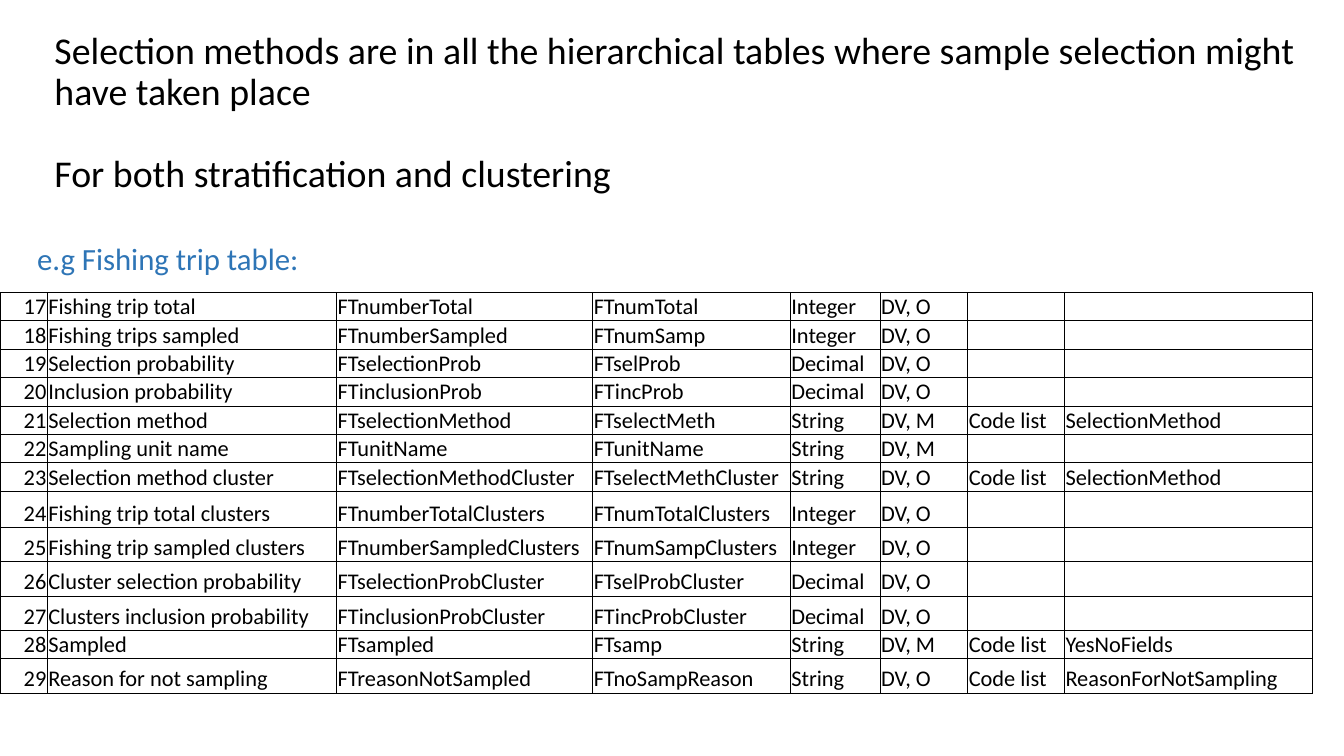
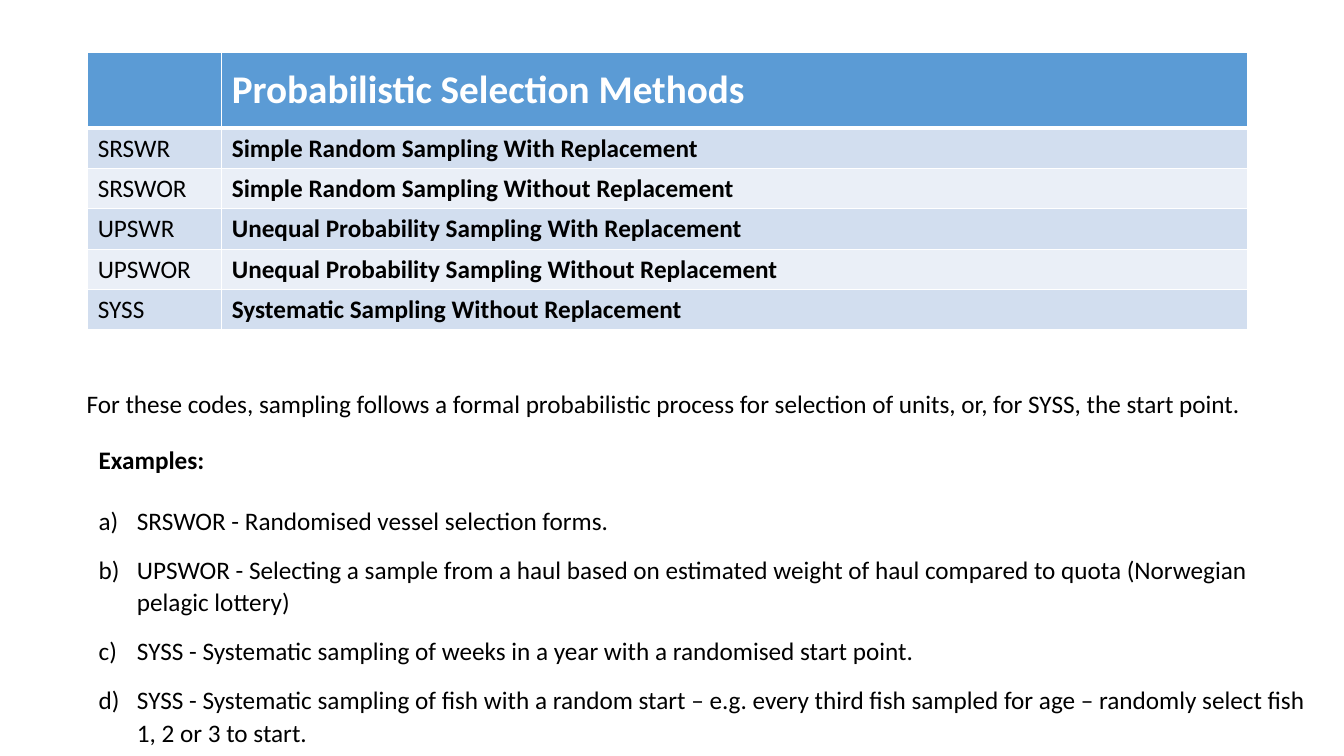
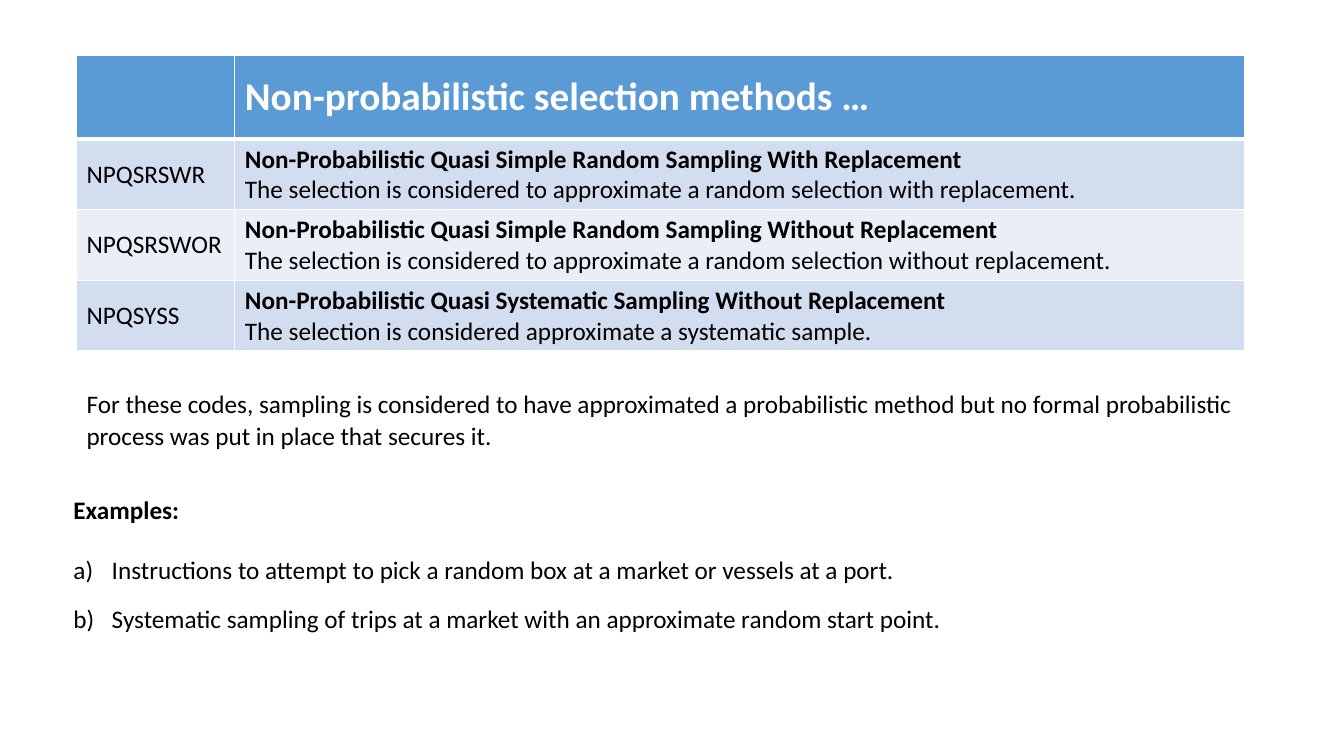
import pptx
import pptx.dml.color
import pptx.enum.text
import pptx.oxml.ns
import pptx.util
from lxml import etree

Inches = pptx.util.Inches
Pt = pptx.util.Pt
Align = pptx.enum.text.PP_ALIGN
Anchor = pptx.enum.text.MSO_ANCHOR
AutoSize = pptx.enum.text.MSO_AUTO_SIZE
qn = pptx.oxml.ns.qn

FONT = "Calibri"
BLACK, WHITE, BLUE = "000000", "FFFFFF", "2E75B6"
HEADER, BANDS = "5B9BD5", ("D2DEEF", "EAEFF7")
BODY_SIZE = 18
TITLE_ONLY, BLANK = 5, 6

TRIP_TITLE = [
    "Selection methods are in all the hierarchical tables where sample selection might have taken place",
    "For both stratification and clustering",
]
TRIP_WIDTHS = [0.47, 2.87, 2.54, 1.96, 0.89, 0.87, 0.96, 2.46]
ROW, TALL_ROW, TALLEST_ROW = 0.28, 0.34, 0.36
FIRST_NUMBER = 17
# height, label, field name, short name, type, rule, code list
TRIP_FIELDS = [
    (ROW, "Fishing trip total", "FTnumberTotal", "FTnumTotal", "Integer", "DV, O", ""),
    (ROW, "Fishing trips sampled", "FTnumberSampled", "FTnumSamp", "Integer", "DV, O", ""),
    (ROW, "Selection probability", "FTselectionProb", "FTselProb", "Decimal", "DV, O", ""),
    (ROW, "Inclusion probability", "FTinclusionProb", "FTincProb", "Decimal", "DV, O", ""),
    (ROW, "Selection method", "FTselectionMethod", "FTselectMeth", "String", "DV, M", "SelectionMethod"),
    (ROW, "Sampling unit name", "FTunitName", "FTunitName", "String", "DV, M", ""),
    (ROW, "Selection method cluster", "FTselectionMethodCluster", "FTselectMethCluster",
     "String", "DV, O", "SelectionMethod"),
    (TALLEST_ROW, "Fishing trip total clusters", "FTnumberTotalClusters", "FTnumTotalClusters",
     "Integer", "DV, O", ""),
    (TALL_ROW, "Fishing trip sampled clusters", "FTnumberSampledClusters", "FTnumSampClusters",
     "Integer", "DV, O", ""),
    (TALL_ROW, "Cluster selection probability", "FTselectionProbCluster", "FTselProbCluster",
     "Decimal", "DV, O", ""),
    (TALL_ROW, "Clusters inclusion probability", "FTinclusionProbCluster", "FTincProbCluster",
     "Decimal", "DV, O", ""),
    (ROW, "Sampled", "FTsampled", "FTsamp", "String", "DV, M", "YesNoFields"),
    (TALL_ROW, "Reason for not sampling", "FTreasonNotSampled", "FTnoSampReason",
     "String", "DV, O", "ReasonForNotSampling"),
]

METHOD_PAGES = [
    {
        "heading": "Probabilistic Selection Methods",
        "table": (0.87, 0.52), "widths": [1.33, 10.17], "heights": (0.75, 0.4),
        "anchor": Anchor.TOP,
        "methods": [
            ("SRSWR", ["Simple Random Sampling With Replacement"]),
            ("SRSWOR", ["Simple Random Sampling Without Replacement"]),
            ("UPSWR", ["Unequal Probability Sampling With Replacement"]),
            ("UPSWOR", ["Unequal Probability Sampling Without Replacement"]),
            ("SYSS", ["Systematic Sampling Without Replacement"]),
        ],
        "note_box": (0.76, 3.78, 11.79, 0.41),
        "note": "For these codes, sampling follows a formal probabilistic process for selection "
                "of units, or, for SYSS, the start point.",
        "examples_box": (0.88, 4.34, 12.31, 3.14),
        "examples": [
            "SRSWOR - Randomised vessel selection forms.",
            "UPSWOR - Selecting a sample from a haul based on estimated weight of haul "
            "compared to quota (Norwegian pelagic lottery)",
            "SYSS - Systematic sampling of weeks in a year with a randomised start point.",
            "SYSS - Systematic sampling of fish with a random start – e.g. every third fish "
            "sampled for age – randomly select fish 1, 2 or 3 to start.",
        ],
    },
    {
        "heading": "Non-probabilistic selection methods …",
        "table": (0.76, 0.55), "widths": [1.57, 10.01], "heights": (0.83, 0.7),
        "anchor": Anchor.MIDDLE,
        "methods": [
            ("NPQSRSWR", [
                "Non-Probabilistic Quasi Simple Random Sampling With Replacement",
                "The selection is considered to approximate a random selection with replacement."]),
            ("NPQSRSWOR", [
                "Non-Probabilistic Quasi Simple Random Sampling Without Replacement",
                "The selection is considered to approximate a random selection without replacement."]),
            ("NPQSYSS", [
                "Non-Probabilistic Quasi Systematic Sampling Without Replacement",
                "The selection is considered approximate a systematic sample."]),
        ],
        "note_box": (0.76, 3.78, 11.58, 0.75),
        "note": "For these codes, sampling is considered to have approximated a probabilistic "
                "method but no formal probabilistic process was put in place that secures it.",
        "examples_box": (0.63, 4.83, 9.91, 1.51),
        "examples": [
            "Instructions to attempt to pick a random box at a market or vessels at a port.",
            "Systematic sampling of trips at a market with an approximate random start point.",
        ],
    },
]


def rgb(colour):
    return pptx.dml.color.RGBColor.from_string(colour)


def write(para, text, size=BODY_SIZE, colour=BLACK, bold=False):
    """Add one run, or give an empty paragraph its text size."""
    if not text:
        etree.SubElement(para._p, qn("a:endParaRPr"), sz=str(size * 100))
        return
    span = para.add_run()
    span.text = text
    span.font.name = FONT
    span.font.size = Pt(size)
    span.font.bold = bold
    span.font.color.rgb = rgb(colour)


def next_para(frame, index):
    return frame.add_paragraph() if index else frame.paragraphs[0]


def add_box(page, place):
    frame = page.shapes.add_textbox(*map(Inches, place)).text_frame
    frame.word_wrap = True
    frame.auto_size = AutoSize.SHAPE_TO_FIT_TEXT
    return frame


def space(para, before=0, after=0):
    para.line_spacing = 1.07
    para.space_before, para.space_after = Pt(before), Pt(after)


def number_by_letter(para):
    props = para._p.get_or_add_pPr()
    indent = Inches(0.38)
    props.set("marL", str(indent))
    props.set("indent", str(-indent))
    etree.SubElement(props, qn("a:buFont"), typeface="+mj-lt")
    etree.SubElement(props, qn("a:buAutoNum"), type="alphaLcParenR")


def add_grid(page, left, top, widths, heights):
    place = map(Inches, (left, top, sum(widths), sum(heights)))
    table = page.shapes.add_table(len(heights), len(widths), *place).table
    table.first_row = table.horz_banding = False
    for column, width in zip(table.columns, widths):
        column.width = Inches(width)
    for row, height in zip(table.rows, heights):
        row.height = Inches(height)
    return table


def style_cell(cell, border, width, fill=None, bottom=None):
    props = cell._tc.get_or_add_tcPr()
    for side in "LRTB":
        weight = bottom if bottom and side == "B" else width
        line = etree.SubElement(props, qn("a:ln" + side), w=str(Pt(weight)))
        solid = etree.SubElement(line, qn("a:solidFill"))
        etree.SubElement(solid, qn("a:srgbClr"), val=border)
    if fill:
        cell.fill.solid()
        cell.fill.fore_color.rgb = rgb(fill)
    else:
        cell.fill.background()


def add_trip_page(deck):
    page = deck.slides.add_slide(deck.slide_layouts[TITLE_ONLY])
    title = page.shapes.title
    title.left, title.top, title.width, title.height = map(Inches, (0.44, 0.4, 12.59, 1.45))
    frame = title.text_frame
    frame.auto_size = AutoSize.NONE
    frame.vertical_anchor = Anchor.MIDDLE
    for index, text in enumerate(TRIP_TITLE):
        para = next_para(frame, index)
        para.alignment = Align.LEFT
        para.line_spacing = 0.9
        para.space_before = Pt(29.5 * index)
        write(para, text, 27)

    table = add_grid(page, 0, 2.9, TRIP_WIDTHS, [field[0] for field in TRIP_FIELDS])
    for r, (_, *texts, code_list) in enumerate(TRIP_FIELDS):
        kind = "Code list" if code_list else ""
        for c, text in enumerate([str(FIRST_NUMBER + r), *texts, kind, code_list]):
            cell = table.cell(r, c)
            cell.margin_left = cell.margin_right = cell.margin_top = Inches(0.01)
            cell.margin_bottom = 0
            cell.vertical_anchor = Anchor.BOTTOM
            style_cell(cell, BLACK, 0.5)
            para = cell.text_frame.paragraphs[0]
            para.alignment = Align.LEFT if c else Align.RIGHT
            write(para, text, 16)

    caption = add_box(page, (0.27, 2.33, 6.59, 0.47))
    write(caption.paragraphs[0], "e.g Fishing trip table:", 22, BLUE)


def add_method_page(deck, content):
    page = deck.slides.add_slide(deck.slide_layouts[BLANK])
    methods = content["methods"]
    header_height, row_height = content["heights"]
    heights = [header_height] + [row_height] * len(methods)
    table = add_grid(page, *content["table"], content["widths"], heights)

    for c, text in enumerate(["", content["heading"]]):
        cell = table.cell(0, c)
        cell.vertical_anchor = Anchor.MIDDLE
        style_cell(cell, WHITE, 1, HEADER, bottom=3)
        write(cell.text_frame.paragraphs[0], text, 28, WHITE, True)
    for r, (code, lines) in enumerate(methods):
        for c, texts in enumerate([[code], lines]):
            cell = table.cell(r + 1, c)
            cell.vertical_anchor = content["anchor"]
            style_cell(cell, WHITE, 1, BANDS[r % 2])
            for index, text in enumerate(texts):
                is_name = c == 1 and index == 0
                write(next_para(cell.text_frame, index), text, bold=is_name)

    note = add_box(page, content["note_box"]).paragraphs[0]
    space(note, after=8)
    write(note, content["note"])

    frame = add_box(page, content["examples_box"])
    for index, text in enumerate(["Examples:", *content["examples"]]):
        para = next_para(frame, index)
        space(para, before=12, after=0 if index else 8)
        if index:
            number_by_letter(para)
        write(para, text, bold=index == 0)


def main():
    deck = pptx.Presentation()
    deck.slide_width, deck.slide_height = Inches(13.33), Inches(7.5)
    add_trip_page(deck)
    for content in METHOD_PAGES:
        add_method_page(deck, content)
    deck.save("out.pptx")


if __name__ == "__main__":
    main()
